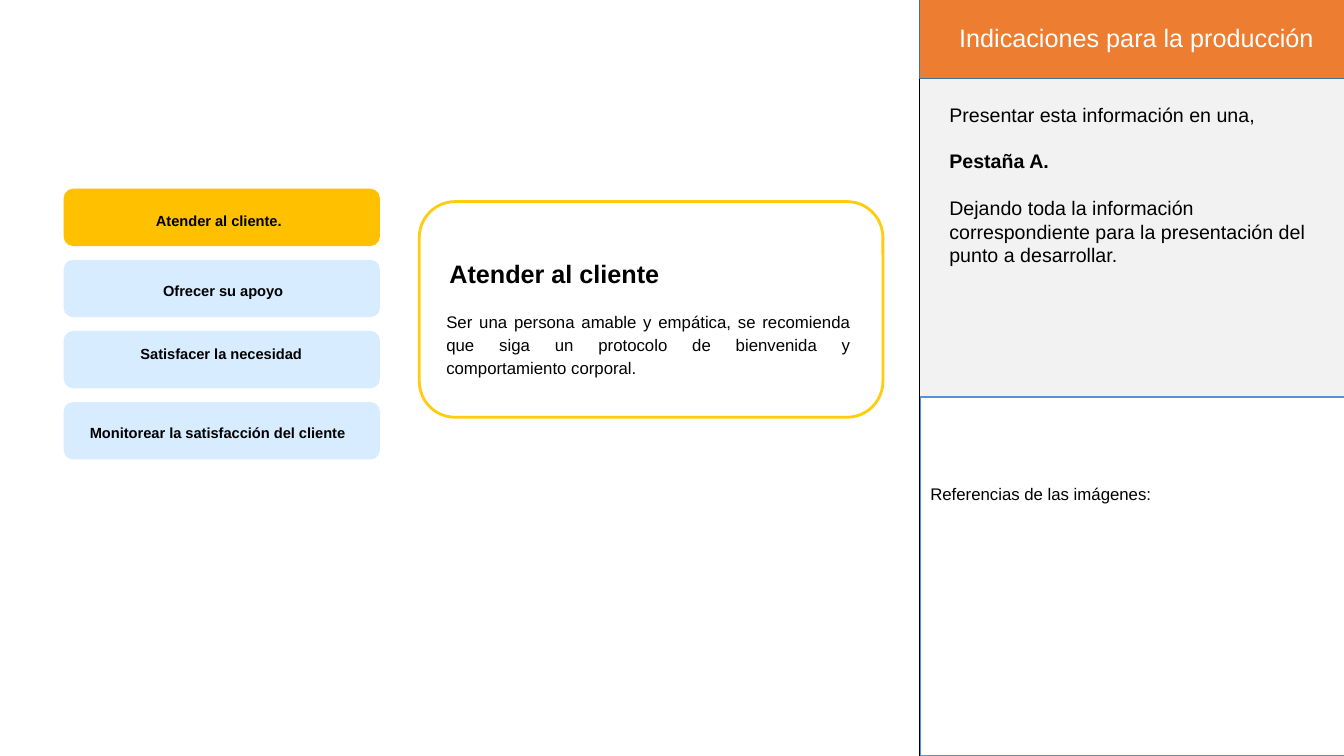
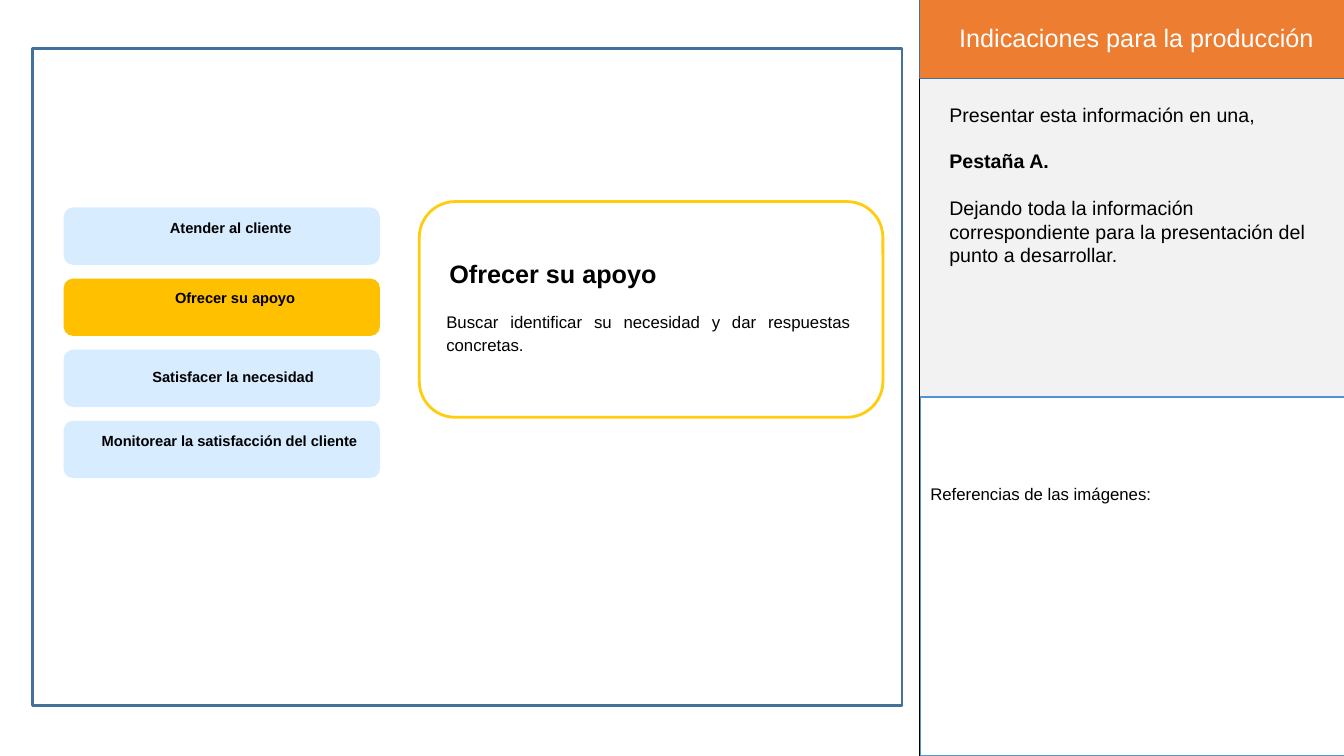
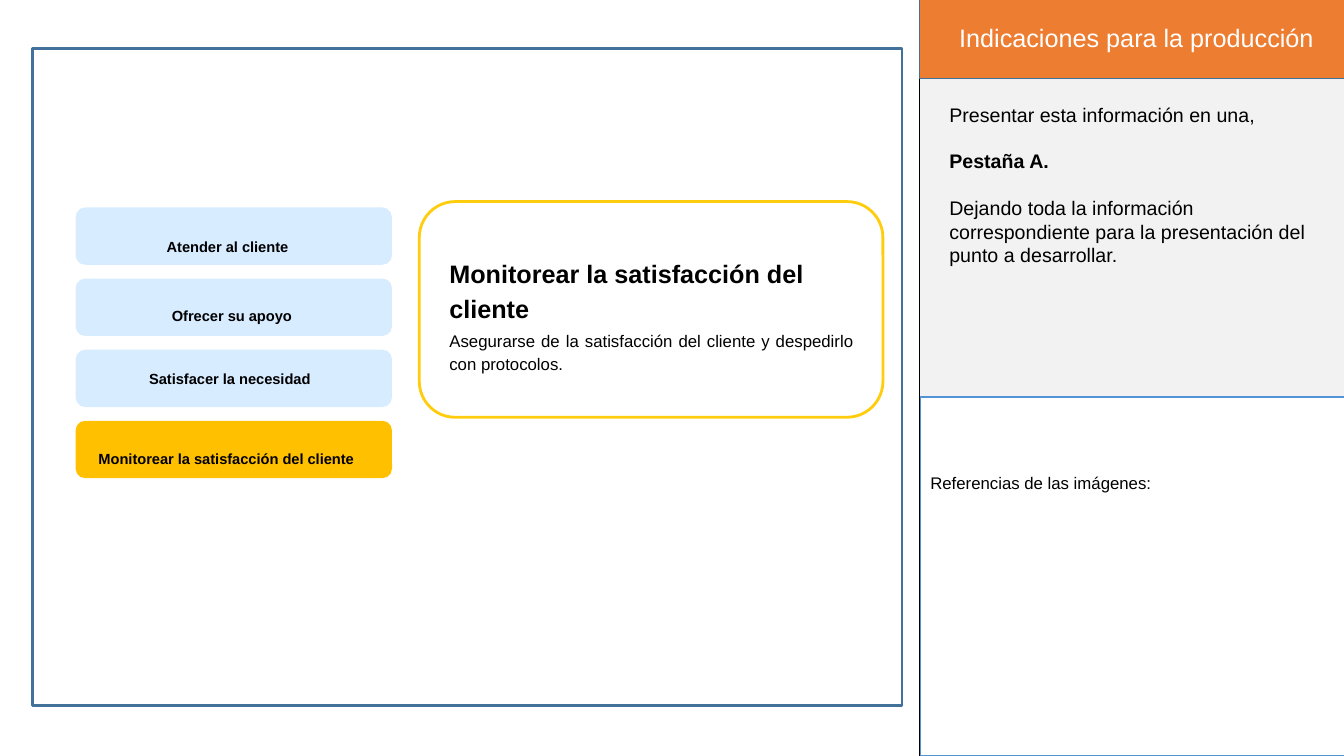
import pptx
import pptx.dml.color
import pptx.enum.shapes
import pptx.enum.text
import pptx.util

Pt = pptx.util.Pt
ALIGN = pptx.enum.text.PP_ALIGN
ANCHOR = pptx.enum.text.MSO_ANCHOR
SHAPES = pptx.enum.shapes.MSO_SHAPE

FONT = "Arial"
BLACK = "000000"
WHITE = "FFFFFF"
ORANGE = "ED7D31"
GRAY = "F2F2F2"
STEEL = "42719B"
SKY = "5193D4"
YELLOW = "FFCD0D"
ACTIVE = "FFC000"
INACTIVE = "D8ECFF"

SIDEBAR = (656.6, -2.2, 310.3, 542.2)
FRAME = (23, 34.6, 621.4, 469.4)
CARD = (299.5, 144, 331.2, 154.1)
TAB_WIDTH, TAB_HEIGHT, TAB_PITCH = 226, 41, 50.8

TAB_LABELS = [
    ("Atender al cliente", 59.5, 193.7),
    ("Ofrecer su apoyo", 49.3, 220.3),
    ("Satisfacer la necesidad", 46.8, 222.5),
    ("Monitorear la satisfacción del cliente", 52.6, 205.9),
]

SLIDES = [
    {
        "active": 0, "tabs_at": (45.4, 134.8), "framed": False,
        "label_shift": 0, "label_drops": (11.4, 10.4, 4.2, 10.4),
        "ending": ".",
        "title": "Atender al cliente",
        "body": "Ser una persona amable y empática, se recomienda que siga "
                "un protocolo de bienvenida y comportamiento corporal.",
        "body_offset": (12.2, 72.7), "reference_drop": 62,
    },
    {
        "active": 1, "tabs_at": (45.4, 148.2), "framed": True,
        "label_shift": 8.5, "label_drops": (3, 2, 7.2, 2.6),
        "ending": "",
        "title": "Ofrecer su apoyo",
        "body": "Buscar identificar su necesidad y dar respuestas concretas.",
        "body_offset": (12.2, 72.7), "reference_drop": 62,
    },
    {
        "active": 3, "tabs_at": (54, 148.2), "framed": True,
        "label_shift": 6.2, "label_drops": (16, 14.8, 8.7, 15.6),
        "ending": "",
        "title": "Monitorear la satisfacción del cliente",
        "body": "Asegurarse de la satisfacción del cliente y despedirlo "
                "con protocolos.",
        "body_offset": (14.4, 86.4), "reference_drop": 54,
    },
]


def rgb(value):
    return pptx.dml.color.RGBColor.from_string(value)


def add_box(slide, box, fill=None, line=None, line_width=1, kind=SHAPES.RECTANGLE):
    shape = slide.shapes.add_shape(kind, *map(Pt, box))
    shape.shadow.inherit = False
    if fill:
        shape.fill.solid()
        shape.fill.fore_color.rgb = rgb(fill)
    else:
        shape.fill.background()
    if line:
        shape.line.color.rgb = rgb(line)
        shape.line.width = Pt(line_width)
    else:
        shape.line.fill.background()
    return shape


def write(shape, text, size, color=BLACK, bold=False, align=ALIGN.LEFT,
          anchor=ANCHOR.TOP, spacing=1):
    text_frame = shape.text_frame
    text_frame.word_wrap = True
    text_frame.vertical_anchor = anchor
    text_frame.text = text
    for paragraph in text_frame.paragraphs:
        paragraph.alignment = align
        paragraph.line_spacing = spacing
        for run in paragraph.runs:
            run.font.name = FONT
            run.font.size = Pt(size)
            run.font.bold = bold
            run.font.color.rgb = rgb(color)
    return text_frame


def add_text(slide, box, text, size, **style):
    return write(slide.shapes.add_textbox(*map(Pt, box)), text, size, **style)


def add_sidebar(slide, box, reference_drop):
    left, top, width, height = box
    add_box(slide, (left, top + 5, width, height - 5), GRAY, BLACK)
    instructions = add_text(
        slide, (left + 14.4, top + 72, 281.5, 192.2),
        "Presentar esta información en una,\nPestaña A.\n"
        "Dejando toda la información correspondiente para la presentación "
        "del punto a desarrollar.", 14)
    for paragraph in instructions.paragraphs[1:]:
        paragraph.space_before = Pt(16.5)
    instructions.paragraphs[1].runs[0].font.bold = True

    header = add_box(slide, (left, top, width, 58.3), ORANGE, STEEL)
    write(header, "Indicaciones para la producción", 18, color=WHITE,
          align=ALIGN.CENTER, anchor=ANCHOR.MIDDLE)

    references = add_box(
        slide, (left + 0.8, top + 285.9, width, height - 285.9), WHITE, SKY)
    write(references, "Referencias de las imágenes:", 12)
    references.text_frame.margin_top = Pt(reference_drop)


def add_tabs(slide, left, top, active):
    for index in range(len(TAB_LABELS)):
        add_box(slide, (left, top + index * TAB_PITCH, TAB_WIDTH, TAB_HEIGHT),
                ACTIVE if index == active else INACTIVE,
                kind=SHAPES.ROUNDED_RECTANGLE)


def add_tab_labels(slide, top, shift, drops, ending):
    for index, (text, left, width) in enumerate(TAB_LABELS):
        label = text + ending if index == 0 else text
        box = (left + shift, top + index * TAB_PITCH + drops[index], width, 20.9)
        add_text(slide, box, label, 10.5, bold=True,
                 align=ALIGN.CENTER, spacing=1.15)


def add_card(slide, box, title, body, body_offset):
    left, top = box[:2]
    add_box(slide, box, WHITE, YELLOW, 2, SHAPES.ROUNDED_RECTANGLE)
    add_text(slide, (left + 14.4, top + 33.8, 273.6, 30.2), title, 18,
             bold=True, spacing=1.15)
    add_text(slide, (left + body_offset[0], top + body_offset[1], 303.1, 56.2),
             body, 12, align=ALIGN.JUSTIFY, spacing=1.15)


def add_tab_slide(presentation, content):
    slide = presentation.slides.add_slide(presentation.slide_layouts[6])
    tabs_left, tabs_top = content["tabs_at"]
    add_sidebar(slide, SIDEBAR, content["reference_drop"])
    add_tabs(slide, tabs_left, tabs_top, content["active"])
    if content["framed"]:
        add_box(slide, FRAME, line=STEEL, line_width=2)
    add_tab_labels(slide, tabs_top, content["label_shift"],
                   content["label_drops"], content["ending"])
    add_card(slide, CARD, content["title"], content["body"],
             content["body_offset"])


def main():
    presentation = pptx.Presentation()
    presentation.slide_width = Pt(960)
    presentation.slide_height = Pt(540)
    for content in SLIDES:
        add_tab_slide(presentation, content)
    presentation.save("out.pptx")


if __name__ == "__main__":
    main()
